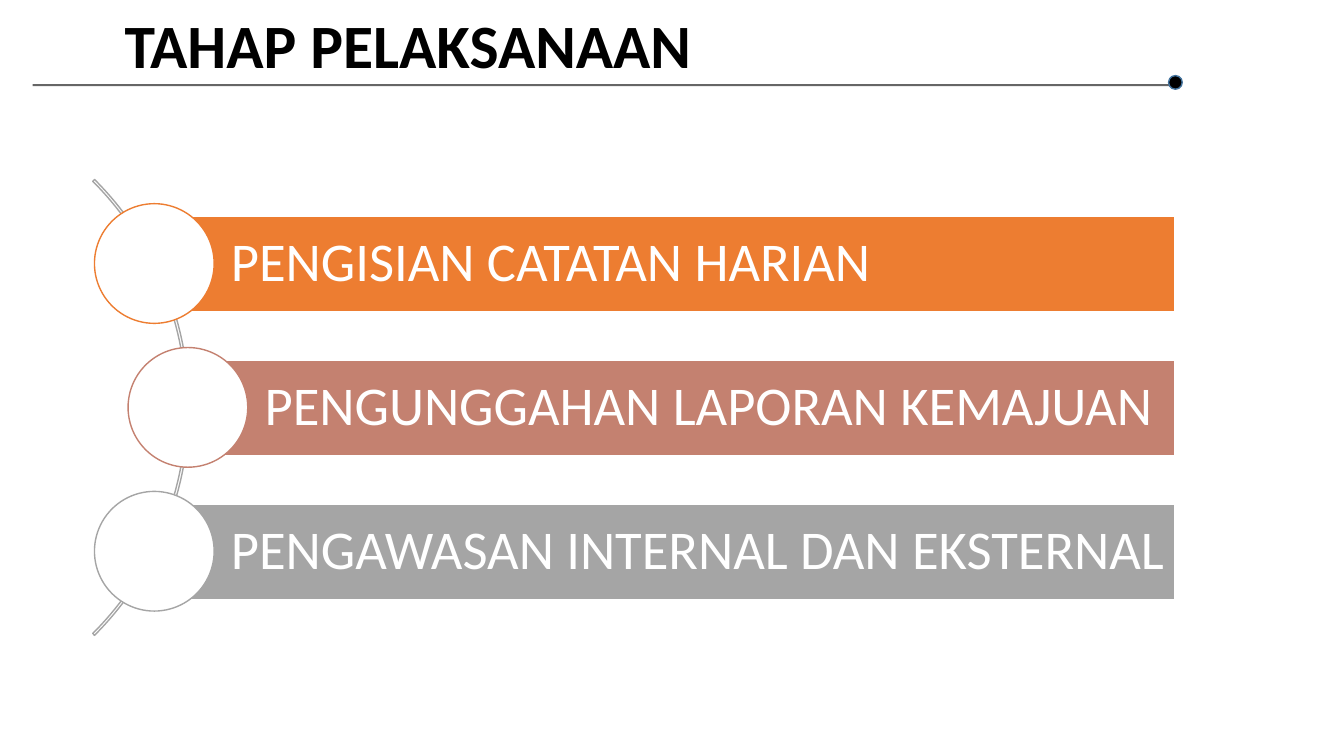
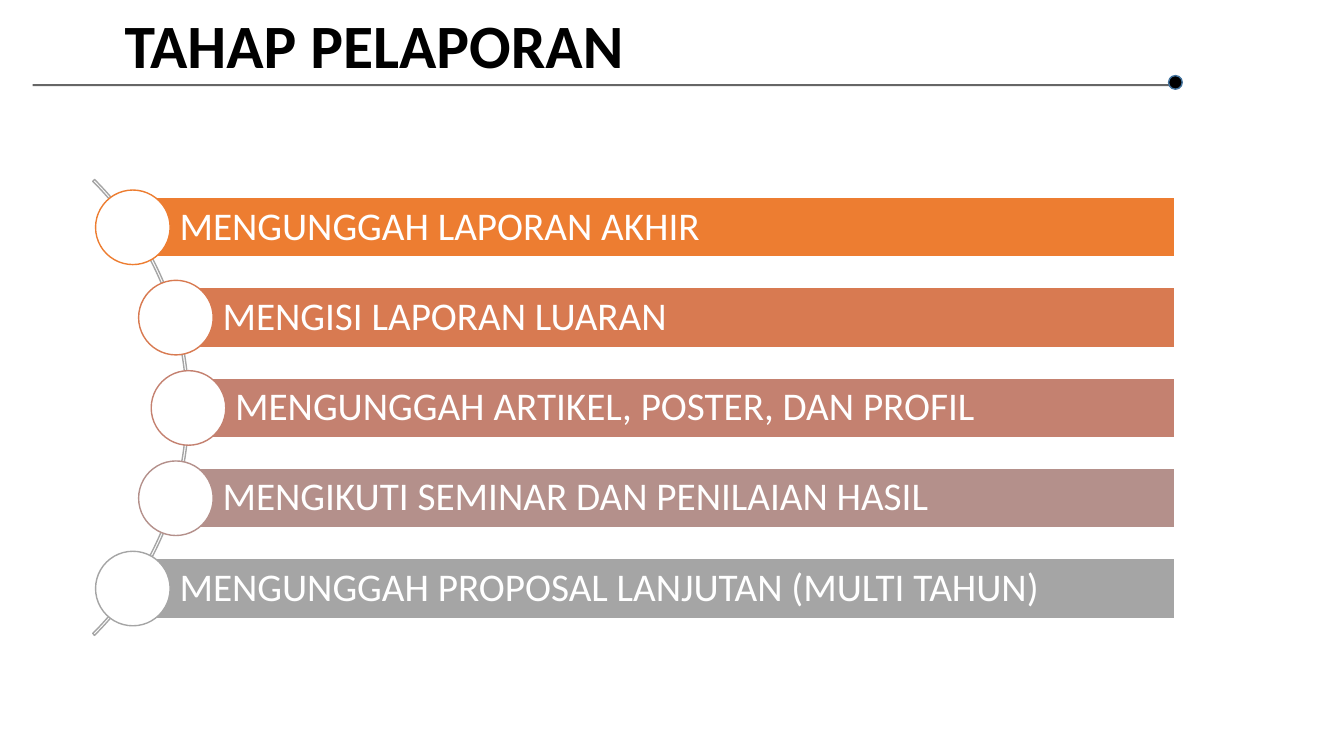
import math
from dataclasses import dataclass

import pptx
import pptx.dml.color
import pptx.enum.shapes
import pptx.enum.text
import pptx.oxml
import pptx.oxml.ns
import pptx.shapes.autoshape
import pptx.slide
import pptx.text.text
import pptx.util

PX = 9525  # EMU per px, 96 px to the inch
FONT = "Calibri"
COLORS = {
    "black": "000000",
    "white": "FFFFFF",
    "dot_edge": "43739E",
    "orange": "ED7D31",
    "copper": "D87A51",
    "clay": "C48170",
    "mauve": "B4908B",
    "gray": "A5A5A5",
}
SHAPES = pptx.enum.shapes.MSO_SHAPE

RULE_LEFT, RULE_RIGHT, RULE_Y = 31, 1116, 81
ARC_X, ARC_Y = -127, 388
ARC_RADIUS, TRACK_RADIUS = 307, 306
BAR_RIGHT = 1119


@dataclass(frozen=True)
class Step:
    text: str
    color: str


@dataclass(frozen=True)
class Stage:
    title: str
    steps: tuple[Step, ...]
    pitch: int
    bar_height: int
    circle_size: int
    text_indent: int
    text_size: int


STAGES = (
    Stage(
        "TAHAP PELAKSANAAN",
        (
            Step("PENGISIAN CATATAN HARIAN", "orange"),
            Step("PENGUNGGAHAN LAPORAN KEMAJUAN", "clay"),
            Step("PENGAWASAN INTERNAL DAN EKSTERNAL", "gray"),
        ),
        pitch=137, bar_height=91, circle_size=114, text_indent=73, text_size=39,
    ),
    Stage(
        "TAHAP PELAPORAN",
        (
            Step("MENGUNGGAH LAPORAN AKHIR", "orange"),
            Step("MENGISI LAPORAN LUARAN", "copper"),
            Step("MENGUNGGAH ARTIKEL, POSTER, DAN PROFIL", "clay"),
            Step("MENGIKUTI SEMINAR DAN PENILAIAN HASIL", "mauve"),
            Step("MENGUNGGAH PROPOSAL LANJUTAN (MULTI TAHUN)", "gray"),
        ),
        pitch=86, bar_height=57, circle_size=71, text_indent=45, text_size=28,
    ),
)


def px(length: int) -> pptx.util.Emu:
    return pptx.util.Emu(length * PX)


def rgb(color: str) -> pptx.dml.color.RGBColor:
    return pptx.dml.color.RGBColor.from_string(COLORS[color])


def write_text(frame: pptx.text.text.TextFrame, text: str, *, size: int,
               color: str, bold: bool = False) -> None:
    frame.word_wrap = True
    frame.auto_size = pptx.enum.text.MSO_AUTO_SIZE.NONE
    frame.vertical_anchor = pptx.enum.text.MSO_ANCHOR.MIDDLE
    paragraph = frame.paragraphs[0]
    paragraph.alignment = pptx.enum.text.PP_ALIGN.LEFT
    paragraph.line_spacing = 0.9
    run = paragraph.add_run()
    run.text = text
    run.font.name = FONT
    run.font.size = pptx.util.Pt(size)
    run.font.bold = bold
    run.font.color.rgb = rgb(color)


def add_shape(slide: pptx.slide.Slide, preset: pptx.enum.shapes.MSO_SHAPE,
              left: int, top: int, width: int, height: int, *,
              line: str, fill: str | None = None) -> pptx.shapes.autoshape.Shape:
    shape = slide.shapes.add_shape(preset, px(left), px(top), px(width), px(height))
    shape.shadow.inherit = False
    if fill is None:
        shape.fill.background()
    else:
        shape.fill.solid()
        shape.fill.fore_color.rgb = rgb(fill)
    shape.line.color.rgb = rgb(line)
    shape.line.width = pptx.util.Pt(1)
    return shape


def add_header(slide: pptx.slide.Slide, text: str) -> None:
    title = slide.shapes.title
    title.left, title.top, title.width, title.height = map(px, (109, 6, 1075, 80))
    write_text(title.text_frame, text, size=44, color="black", bold=True)

    rule = slide.shapes.add_connector(
        pptx.enum.shapes.MSO_CONNECTOR.STRAIGHT,
        px(RULE_LEFT), px(RULE_Y), px(RULE_RIGHT), px(RULE_Y))
    rule.line.color.rgb = rgb("black")
    rule.line.width = pptx.util.Pt(1.5)
    properties = rule._element.spPr
    properties.append(pptx.oxml.parse_xml(
        f'<a:effectLst {pptx.oxml.ns.nsdecls("a")}/>'))
    properties.find(".//" + pptx.oxml.ns.qn("a:srgbClr")).append(pptx.oxml.parse_xml(
        f'<a:alpha {pptx.oxml.ns.nsdecls("a")} val="60000"/>'))

    add_shape(slide, SHAPES.OVAL, 1113, 72, 13, 13, fill="black", line="dot_edge")


def add_step(slide: pptx.slide.Slide, stage: Stage, step: Step, offset: int) -> None:
    """Draw a bar whose circle sits on the arc, offset px below the arc's centre."""
    x = ARC_X + round(math.sqrt(TRACK_RADIUS ** 2 - offset ** 2))
    y = ARC_Y + offset
    bar = add_shape(slide, SHAPES.RECTANGLE, x, y - stage.bar_height // 2,
                    BAR_RIGHT - x, stage.bar_height, fill=step.color, line="white")
    frame = bar.text_frame
    frame.margin_left = px(stage.text_indent)
    frame.margin_top = frame.margin_right = frame.margin_bottom = px(4)
    write_text(frame, step.text, size=stage.text_size, color="white")

    size = stage.circle_size
    add_shape(slide, SHAPES.OVAL, x - size // 2, y - size // 2, size, size,
              fill="white", line=step.color)


def add_stage(deck: pptx.presentation.Presentation, stage: Stage) -> None:
    slide = deck.slides.add_slide(deck.slide_layouts.get_by_name("Title Only"))
    add_header(slide, stage.title)
    arc = add_shape(slide, SHAPES.BLOCK_ARC, ARC_X - ARC_RADIUS, ARC_Y - ARC_RADIUS,
                    2 * ARC_RADIUS, 2 * ARC_RADIUS, line="gray")
    for index, value in enumerate((189, 27, 0.004)):
        arc.adjustments[index] = value
    middle = len(stage.steps) // 2
    for index, step in enumerate(stage.steps):
        add_step(slide, stage, step, (index - middle) * stage.pitch)


def main() -> None:
    deck = pptx.Presentation()
    deck.slide_width, deck.slide_height = px(1280), px(720)
    for stage in STAGES:
        add_stage(deck, stage)
    deck.save("out.pptx")


if __name__ == "__main__":
    main()
